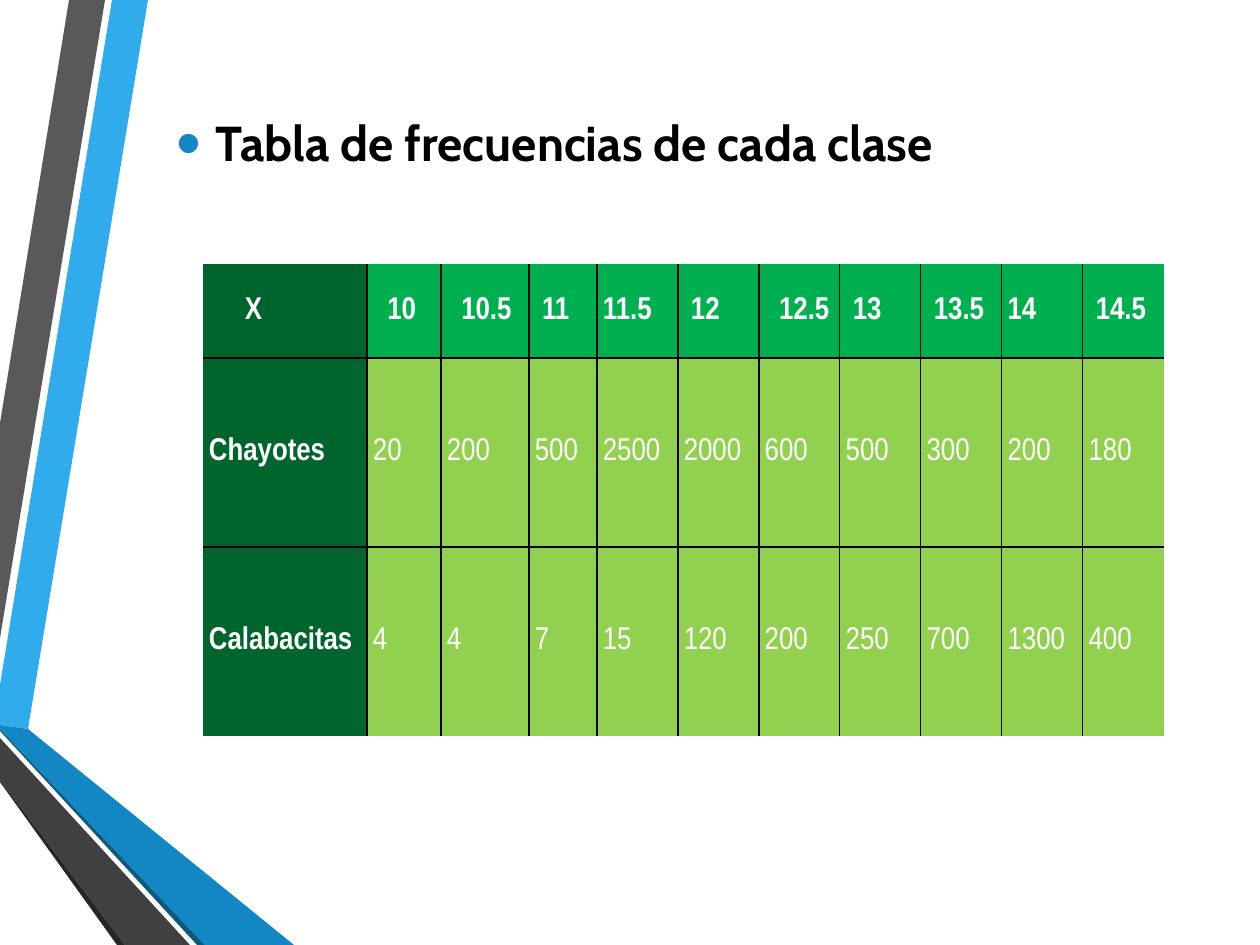
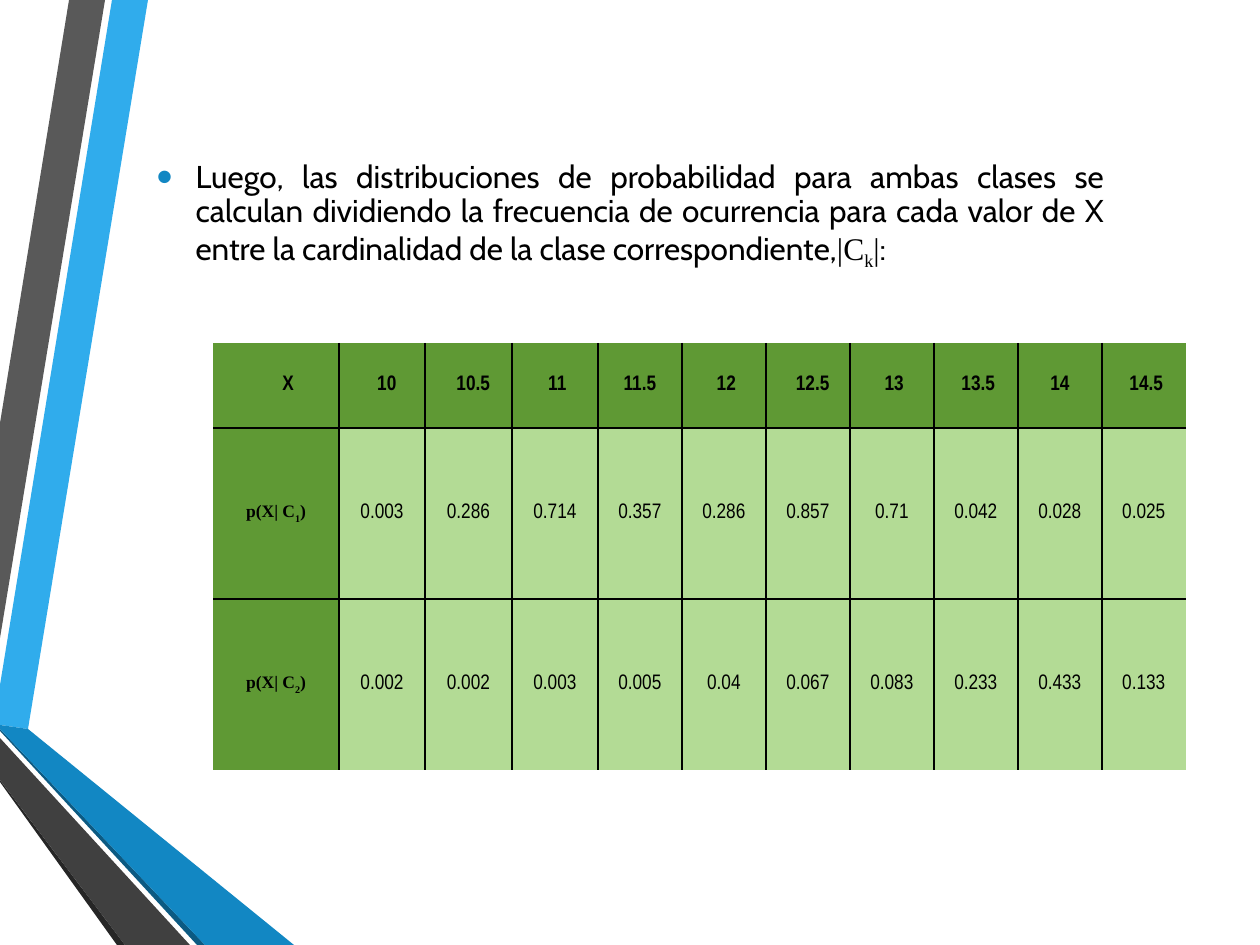
from lxml import etree
from pptx import Presentation
from pptx.dml.color import RGBColor
from pptx.enum.text import MSO_ANCHOR, MSO_AUTO_SIZE, PP_ALIGN
from pptx.oxml.ns import qn
from pptx.util import Pt

JUSTIFY, CENTER = PP_ALIGN.JUSTIFY, PP_ALIGN.CENTER
MIDDLE = MSO_ANCHOR.MIDDLE
NO_AUTOFIT = MSO_AUTO_SIZE.NONE

# Shared look
PX = 914400 / 126
SLIDE_SIZE = (1260, 945)
BLACK, WHITE, BULLET_BLUE = "000000", "FFFFFF", "1287C3"
CABIN, NARROW, TIMES = "Cabin", "Arial Narrow", "Times New Roman"
SUBSCRIPT = -25000
BULLET_INDENT = 39
CELL_MARGIN = 6
SPACE_EM = 0.228  # width of one indent step in the header row

BANDS = [
    ("30ACEC", [(0, 685), (0, 725), (28, 729), (148, 0), (112, 0)]),
    ("595959", [(105, 0), (69, 0), (0, 423), (0, 638)]),
    ("262626", [(0, 780), (0, 782), (117, 945), (125, 945)]),
    ("0C5A82", [(0, 729), (0, 731), (197, 945), (205, 945)]),
    ("1287C3", [(0, 729), (205, 945), (294, 945), (28, 729), (0, 725)]),
    ("404040", [(0, 780), (125, 945), (190, 945), (0, 738)]),
]

# Content: a text piece is (text, font, baseline)
X_VALUES = ["X", "10", "10.5", "11", "11.5", "12", "12.5", "13", "13.5", "14", "14.5"]
X_INDENTS = [5, 2, 2, 1, 0, 1, 2, 1, 1, 0, 1]


def class_label(number):
    return [("p(X| C", TIMES, 0), (number, TIMES, SUBSCRIPT), (")", TIMES, 0)]


SLIDES = [
    {
        "statement": [("Tabla de frecuencias de cada clase", CABIN, 0)],
        "statement_box": (164, 96, 1052, 100),
        "statement_size": 28,
        "statement_bold": True,
        "table_at": (203, 264),
        "columns": [164, 74, 88, 68] + [81] * 7,
        "rows": [94, 189, 189],
        "align": JUSTIFY,
        "size": 18,
        "label_size": 18,
        "ink": WHITE,
        "label_fill": "00642D",
        "header_fill": "00B050",
        "value_fill": "92D050",
        "classes": [
            ([("Chayotes", NARROW, 0)],
             ["20", "200", "500", "2500", "2000", "600", "500", "300", "200", "180"]),
            ([("Calabacitas", NARROW, 0)],
             ["4", "4", "7", "15", "120", "200", "250", "700", "1300", "400"]),
        ],
    },
    {
        "statement": [
            ("Luego, las distribuciones de probabilidad para ambas clases se calculan "
             "dividiendo la frecuencia de ocurrencia para cada valor de X entre la "
             "cardinalidad de la clase correspondiente,", CABIN, 0),
            ("|C", TIMES, 0), ("k", TIMES, SUBSCRIPT), ("|", TIMES, 0), (":", CABIN, 0),
        ],
        "statement_box": (144, 135, 973, 159),
        "statement_size": 18,
        "statement_bold": False,
        "table_at": (213, 343),
        "columns": [126, 86, 87, 86] + [84] * 7,
        "rows": [85, 171, 171],
        "align": CENTER,
        "size": 12,
        "label_size": 10,
        "ink": BLACK,
        "label_fill": "5F9934",
        "header_fill": "5F9934",
        "value_fill": "B3DB95",
        "classes": [
            (class_label("1"), ["0.003", "0.286", "0.714", "0.357", "0.286",
                                "0.857", "0.71", "0.042", "0.028", "0.025"]),
            (class_label("2"), ["0.002", "0.002", "0.003", "0.005", "0.04",
                                "0.067", "0.083", "0.233", "0.433", "0.133"]),
        ],
    },
]


# Helpers
def px(length):
    return round(length * PX)


def color(hex_value):
    return RGBColor.from_string(hex_value)


def write(paragraph, pieces, size, ink, bold):
    for text, font_name, baseline in pieces:
        run = paragraph.add_run()
        run.text = text
        run.font.name, run.font.size, run.font.bold = font_name, Pt(size), bold
        run.font.color.rgb = color(ink)
        if baseline:
            run._r.get_or_add_rPr().set("baseline", str(baseline))


def add_bullet(paragraph):
    properties = paragraph._p.get_or_add_pPr()
    properties.set("marL", str(px(BULLET_INDENT)))
    properties.set("indent", str(-px(BULLET_INDENT)))
    bullet_color = etree.SubElement(properties, qn("a:buClr"))
    etree.SubElement(bullet_color, qn("a:srgbClr"), val=BULLET_BLUE)
    etree.SubElement(properties, qn("a:buSzPct"), val="145000")
    etree.SubElement(properties, qn("a:buFont"), typeface="Arial")
    etree.SubElement(properties, qn("a:buChar"), char="•")


def set_borders(cell, inner_edges):
    """Draw the inner edges in black and leave the outer ones open."""
    properties = cell._tc.get_or_add_tcPr()
    for position, (edge, is_inner) in enumerate(inner_edges.items()):
        line = etree.Element(qn(f"a:{edge}"), w=str(Pt(1)))
        if is_inner:
            fill = etree.SubElement(line, qn("a:solidFill"))
            etree.SubElement(fill, qn("a:srgbClr"), val=BLACK)
        else:
            etree.SubElement(line, qn("a:noFill"))
        properties.insert(position, line)


def add_bands(layout, slide):
    """Build the side bands and place them behind everything on the layout."""
    layout_tree = layout.placeholders[0].element.getparent()
    for order, (fill, points) in enumerate(BANDS):
        outline = slide.shapes.build_freeform(*points[0], scale=PX)
        outline.add_line_segments(points[1:], close=True)
        band = outline.convert_to_shape()
        band.shadow.inherit = False
        band.fill.solid()
        band.fill.fore_color.rgb = color(fill)
        band.line.fill.background()
        band.element.nvSpPr.cNvPr.set("id", str(100 + order))
        layout_tree.insert(2 + order, band.element)


def add_statement(slide, content):
    statement = slide.placeholders[1]
    statement.left, statement.top, statement.width, statement.height = map(
        px, content["statement_box"])
    frame = statement.text_frame
    frame.auto_size, frame.word_wrap = NO_AUTOFIT, True
    frame.vertical_anchor = MIDDLE
    paragraph = frame.paragraphs[0]
    paragraph.alignment = JUSTIFY
    paragraph.line_spacing, paragraph.space_after = 0.9, Pt(6)
    add_bullet(paragraph)
    write(paragraph, content["statement"], content["statement_size"], BLACK,
          content["statement_bold"])


def add_class_table(slide, content):
    columns, rows = content["columns"], content["rows"]
    grid = [[[(value, NARROW, 0)] for value in X_VALUES]]
    for label, values in content["classes"]:
        grid.append([label] + [[(value, NARROW, 0)] for value in values])

    left, top = content["table_at"]
    table = slide.shapes.add_table(
        len(rows), len(columns), px(left), px(top),
        px(sum(columns)), px(sum(rows))).table
    table.first_row = table.horz_banding = False
    for column, width in zip(table.columns, columns):
        column.width = px(width)
    for row, height in zip(table.rows, rows):
        row.height = px(height)

    for r, row_pieces in enumerate(grid):
        for c, pieces in enumerate(row_pieces):
            is_header, is_label = r == 0, c == 0
            cell = table.cell(r, c)
            cell.margin_left = cell.margin_right = px(CELL_MARGIN)
            cell.margin_top = cell.margin_bottom = 0
            cell.vertical_anchor = MIDDLE
            part = "label" if is_label else "header" if is_header else "value"
            cell.fill.solid()
            cell.fill.fore_color.rgb = color(content[f"{part}_fill"])
            set_borders(cell, {"lnL": c > 0, "lnR": c < len(columns) - 1,
                               "lnT": r > 0, "lnB": r < len(rows) - 1})

            paragraph = cell.text_frame.paragraphs[0]
            paragraph.alignment = content["align"]
            size = content["label_size" if is_label and not is_header else "size"]
            if is_header:
                indent = Pt(X_INDENTS[c] * SPACE_EM * size)
                paragraph._p.get_or_add_pPr().set("marL", str(indent))
            write(paragraph, pieces, size, content["ink"], is_header or is_label)


def main():
    deck = Presentation()
    deck.slide_width, deck.slide_height = map(px, SLIDE_SIZE)
    layout = deck.slide_layouts[1]
    for number, content in enumerate(SLIDES):
        slide = deck.slides.add_slide(layout)
        title = slide.shapes.title.element
        title.getparent().remove(title)
        if number == 0:
            add_bands(layout, slide)
        add_statement(slide, content)
        add_class_table(slide, content)
    deck.save("out.pptx")


if __name__ == "__main__":
    main()
